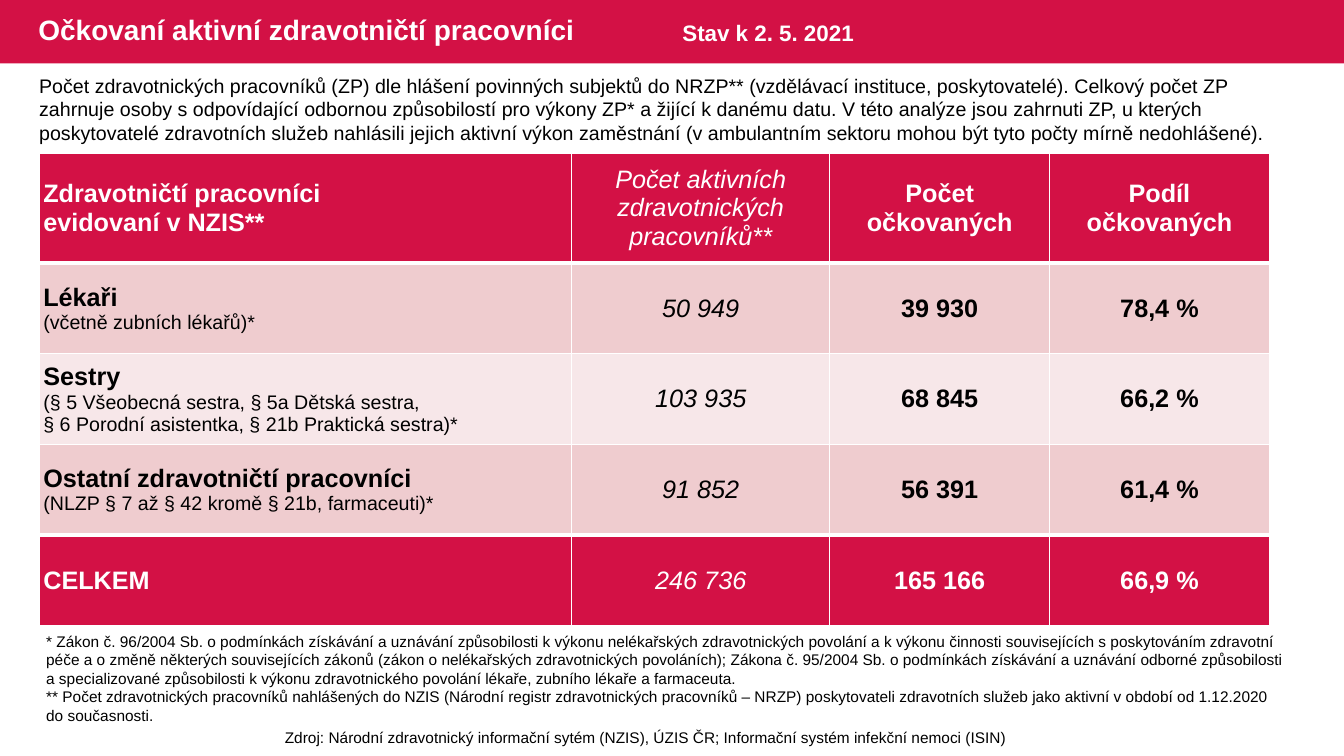
"""Build the slide on vaccinated active health workers."""
from lxml import etree
from pptx import Presentation
from pptx.dml.color import RGBColor
from pptx.enum.shapes import MSO_SHAPE
from pptx.enum.text import MSO_ANCHOR, PP_ALIGN
from pptx.oxml.ns import qn
from pptx.util import Inches, Pt

RECT = MSO_SHAPE.RECTANGLE
MIDDLE, TOP = MSO_ANCHOR.MIDDLE, MSO_ANCHOR.TOP
LEFT, CENTER = PP_ALIGN.LEFT, PP_ALIGN.CENTER

COLORS = {"red": "D31145", "rose": "EFCCCF", "pale": "F7E7E9",
          "white": "FFFFFF", "black": "000000"}
FONT = "Arial"

TITLE = "Očkovaní aktivní zdravotničtí pracovníci"
DATE = "Stav k 2. 5. 2021"
INTRO = (
    "Počet zdravotnických pracovníků (ZP) dle hlášení povinných subjektů do NRZP** "
    "(vzdělávací instituce, poskytovatelé). Celkový počet ZP zahrnuje osoby s odpovídající "
    "odbornou způsobilostí pro výkony ZP* a žijící k danému datu. V této analýze jsou zahrnuti "
    "ZP, u kterých poskytovatelé zdravotních služeb nahlásili jejich aktivní výkon zaměstnání "
    "(v ambulantním sektoru mohou být tyto počty mírně nedohlášené).")
NOTES = (
    "* Zákon č. 96/2004 Sb. o podmínkách získávání a uznávání způsobilosti k výkonu "
    "nelékařských zdravotnických povolání a k výkonu činnosti souvisejících s poskytováním "
    "zdravotní péče a o změně některých souvisejících zákonů (zákon o nelékařských "
    "zdravotnických povoláních); Zákona č. 95/2004 Sb. o podmínkách získávání a uznávání "
    "odborné způsobilosti a specializované způsobilosti k výkonu zdravotnického povolání "
    "lékaře, zubního lékaře a farmaceuta.\n"
    "** Počet zdravotnických pracovníků nahlášených do NZIS (Národní registr zdravotnických "
    "pracovníků – NRZP) poskytovateli zdravotních služeb jako aktivní v období od 1.12.2020 "
    "do současnosti.")
SOURCE = ("Zdroj: Národní zdravotnický informační sytém (NZIS), ÚZIS ČR; "
          "Informační systém infekční nemoci (ISIN) ")

BOXES = [
    (SOURCE, (1.9, 7.17, 9.06, 0.29), 11, "black", False, CENTER),
    (NOTES, (0.36, 6.22, 12.53, 1.03), 11, "black", False, LEFT),
    (INTRO, (0.29, 0.68, 12.64, 0.81), 14, "black", False, LEFT),
    (DATE, (6.67, 0.14, 2.2, 0.37), 16, "white", True, LEFT),
]

ROWS = [
    ("Zdravotničtí pracovníci\nevidovaní v NZIS**",
     "Počet aktivních zdravotnických pracovníků**", "Počet očkovaných", "Podíl očkovaných"),
    ("Lékaři\n(včetně zubních lékařů)*", "50 949", "39 930", "78,4 %"),
    ("Sestry\n(§ 5 Všeobecná sestra, § 5a Dětská sestra,\n"
     "§ 6 Porodní asistentka, § 21b Praktická sestra)*", "103 935", "68 845", "66,2 %"),
    ("Ostatní zdravotničtí pracovníci\n(NLZP § 7 až § 42 kromě § 21b, farmaceuti)*",
     "91 852", "56 391", "61,4 %"),
    ("CELKEM", "246 736", "165 166", "66,9 %"),
]
FILLS = ["red", "rose", "pale", "rose", "red"]
WIDTHS = [5.28, 2.56, 2.18, 2.18]
HEIGHTS = [1.09, 0.9, 0.9, 0.9, 0.9]
LAST = len(ROWS) - 1


def rgb(name):
    return RGBColor.from_string(COLORS[name])


def style(par, size, color, bold=False, italic=False, align=LEFT):
    par.alignment = align
    for run in par.runs:
        font = run.font
        font.name, font.size = FONT, Pt(size)
        font.bold, font.italic = bold, italic
        font.color.rgb = rgb(color)


def place(shape, box):
    shape.left, shape.top, shape.width, shape.height = map(Inches, box)


def add_text(slide, text, box, size, color, bold, align):
    frame = slide.shapes.add_textbox(*map(Inches, box)).text_frame
    frame.word_wrap = True
    frame.text = text
    for par in frame.paragraphs:
        style(par, size, color, bold, align=align)


def add_edges(cell, row):
    props = cell._tc.get_or_add_tcPr()
    thick = {"T": row in (1, LAST), "B": row in (0, LAST - 1)}
    for side in "LRTB":
        width = Pt(3 if thick.get(side) else 1)
        line = etree.SubElement(props, qn(f"a:ln{side}"), w=str(width))
        fill = etree.SubElement(line, qn("a:solidFill"))
        etree.SubElement(fill, qn("a:srgbClr"), val=COLORS["white"])


def fill_cell(cell, text, row, col):
    add_edges(cell, row)
    cell.fill.solid()
    cell.fill.fore_color.rgb = rgb(FILLS[row])
    cell.vertical_anchor = MIDDLE
    side = 0.04 if row == 0 or col == 0 else 0.01
    cell.margin_left = cell.margin_right = Inches(side)
    cell.margin_top = cell.margin_bottom = 0
    cell.text_frame.text = text
    color = "white" if FILLS[row] == "red" else "black"
    for num, par in enumerate(cell.text_frame.paragraphs):
        small = num > 0 and row > 0
        style(par, 14 if small else 18, color, bold=col != 1 and not small,
              italic=col == 1, align=CENTER if col else LEFT)


def add_grid(slide):
    size = (sum(WIDTHS), sum(HEIGHTS))
    table = slide.shapes.add_table(len(ROWS), len(WIDTHS), Inches(0.39), Inches(1.52),
                                   *map(Inches, size)).table
    for col, width in enumerate(WIDTHS):
        table.columns[col].width = Inches(width)
    for row, texts in enumerate(ROWS):
        table.rows[row].height = Inches(HEIGHTS[row])
        for col, text in enumerate(texts):
            fill_cell(table.cell(row, col), text, row, col)


def add_head(slide):
    bar = slide.shapes.add_shape(RECT, 0, 0, Inches(13.33), Inches(0.63))
    bar.shadow.inherit = False
    bar.fill.solid()
    bar.fill.fore_color.rgb = rgb("red")
    bar.line.fill.background()
    title = slide.shapes.title
    bar._element.addnext(title._element)
    place(title, (0.28, 0, 8.13, 0.63))
    frame = title.text_frame
    frame.text = TITLE
    frame.word_wrap = True
    frame.vertical_anchor = MIDDLE
    par = frame.paragraphs[0]
    par.line_spacing = 0.9
    style(par, 20, "white", bold=True)


def main():
    deck = Presentation()
    deck.slide_width, deck.slide_height = Inches(13.33), Inches(7.5)
    slide = deck.slides.add_slide(deck.slide_layouts[5])
    add_head(slide)
    for box in BOXES:
        add_text(slide, *box)
    add_grid(slide)
    deck.save("out.pptx")


if __name__ == "__main__":
    main()
